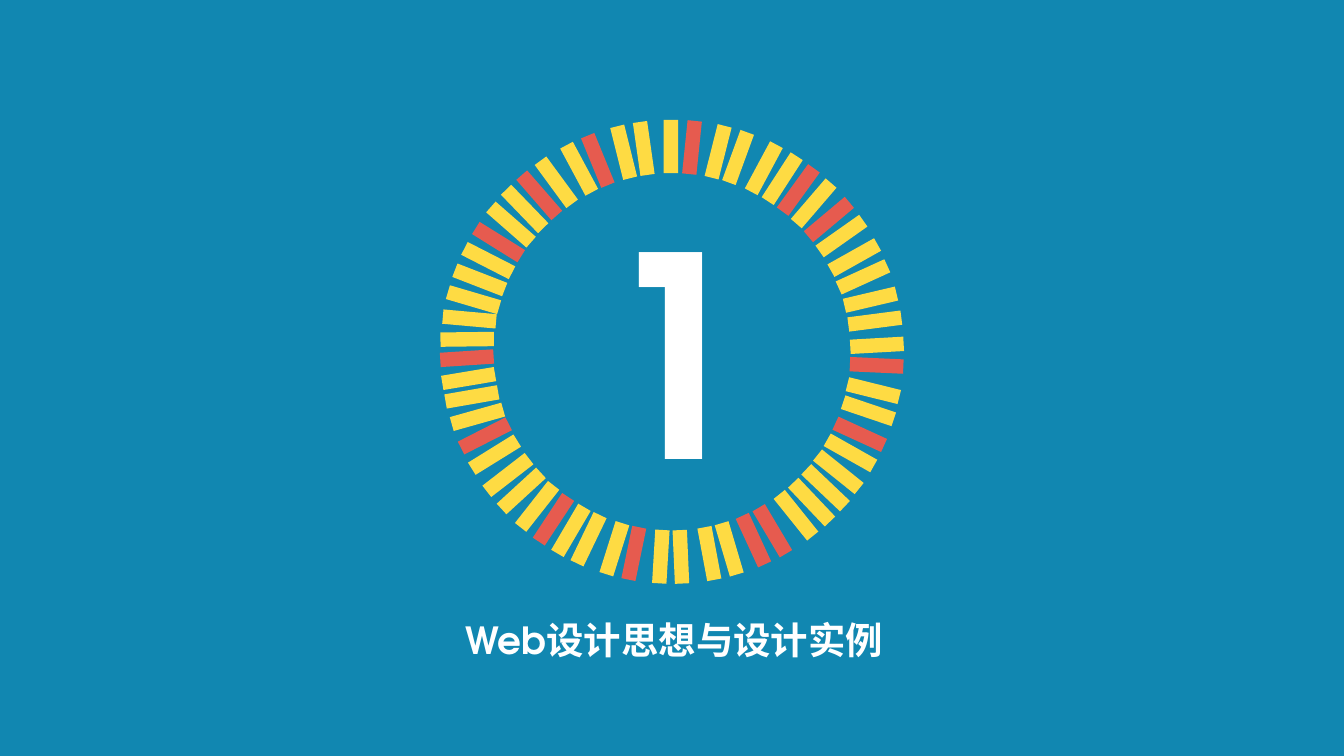
"""Build a section slide: a ring of slanted bars around a number, with a title below."""
from math import cos, radians, sin

from pptx import Presentation
from pptx.dml.color import RGBColor
from pptx.enum import shapes, text
from pptx.util import Pt

BLUE = RGBColor(0x11, 0x87, 0xB1)
YELLOW = RGBColor(0xFE, 0xDB, 0x43)
RED = RGBColor(0xE6, 0x5B, 0x4F)
WHITE = RGBColor(0xFF, 0xFF, 0xFF)
FONT = "TeX Gyre Adventor"

CENTER_X, CENTER_Y, RADIUS = 480.24, 251.28, 146.6
BAR_WIDTH, BAR_HEIGHT = 10.3, 38.2
TILTS = (0, 5.9, 14.2, 20.1, 28.2, 32.9, 35.9, 40.7, 50, 54.8, 60.7, 65.5, 76.8, 82.6,
         83, 88.8)

# Each quadrant: horizontal side, vertical side, first tilt, red bars, bearings from vertical
QUADRANTS = (
    (1, -1, 0, {1, 6, 8},
     (-0.3, 5.6, 13, 18.8, 26.6, 32.5, 38, 43.7, 49.9, 55.7, 62.7, 68.6, 75.3, 81.4)),
    (-1, -1, 8.1, {2, 5, 8},
     (7.9, 13.6, 21.2, 26.9, 34.3, 40.3, 45.9, 51.7, 57.7, 63.6, 69.5, 75.3, 80.8, 86.5)),
    (1, 1, 10.6, {2, 3, 9, 12},
     (10.5, 16.2, 23.4, 29.3, 37.2, 42.9, 48.5, 54.2, 60.5, 66.3, 73.3, 79.1, 86.2, 91.8)),
    (-1, 1, -2.5, {2, 6, 11, 15},
     (-2.5, 3.1, 10.7, 16.3, 24, 29.5, 35.3, 41.1, 47.3, 53.1, 59.9, 65.8, 71.5, 77.3,
      82.5, 88.2)),
)


def add_bar(ring, center_x, center_y, rotation, color):
    left, top = center_x - BAR_WIDTH / 2, center_y - BAR_HEIGHT / 2
    bar = ring.shapes.add_shape(shapes.MSO_SHAPE.RECTANGLE, Pt(left), Pt(top),
                                Pt(BAR_WIDTH), Pt(BAR_HEIGHT))
    bar.rotation = rotation % 360
    bar.shadow.inherit = False
    bar.fill.solid()
    bar.fill.fore_color.rgb = color
    bar.line.fill.background()


def add_quadrant(ring, side_x, side_y, first_tilt, red_bars, bearings):
    for index, (bearing, tilt) in enumerate(zip(bearings, TILTS)):
        add_bar(ring,
                CENTER_X + side_x * RADIUS * sin(radians(bearing)),
                CENTER_Y + side_y * RADIUS * cos(radians(bearing)),
                -side_x * side_y * (first_tilt + tilt),
                RED if index in red_bars else YELLOW)


def set_text(shape, content, size, wrap):
    frame = shape.text_frame
    frame.word_wrap = wrap
    frame.auto_size = text.MSO_AUTO_SIZE.NONE
    frame.vertical_anchor = text.MSO_ANCHOR.TOP
    paragraph = frame.paragraphs[0]
    paragraph.text = content
    paragraph.alignment = text.PP_ALIGN.CENTER
    paragraph.font.name = FONT
    paragraph.font.size = Pt(size)
    paragraph.font.bold = True
    paragraph.font.color.rgb = WHITE
    return paragraph


def main():
    presentation = Presentation()
    presentation.slide_width, presentation.slide_height = Pt(960.48), Pt(540)
    slide = presentation.slides.add_slide(presentation.slide_layouts[5])
    slide.background.fill.solid()
    slide.background.fill.fore_color.rgb = BLUE

    ring = slide.shapes.add_group_shape()
    for quadrant in QUADRANTS:
        add_quadrant(ring, *quadrant)
    number = ring.shapes.add_textbox(Pt(418.3), Pt(124.6), Pt(127.4), Pt(249.8))
    set_text(number, "1", 200, False)

    title = slide.shapes.title
    title.left, title.top, title.width, title.height = Pt(306), Pt(434.2), Pt(352), Pt(78.5)
    set_text(title, "Web设计思想与设计实例", 26.7, True).line_spacing = 1.1

    presentation.save("out.pptx")


if __name__ == "__main__":
    main()
